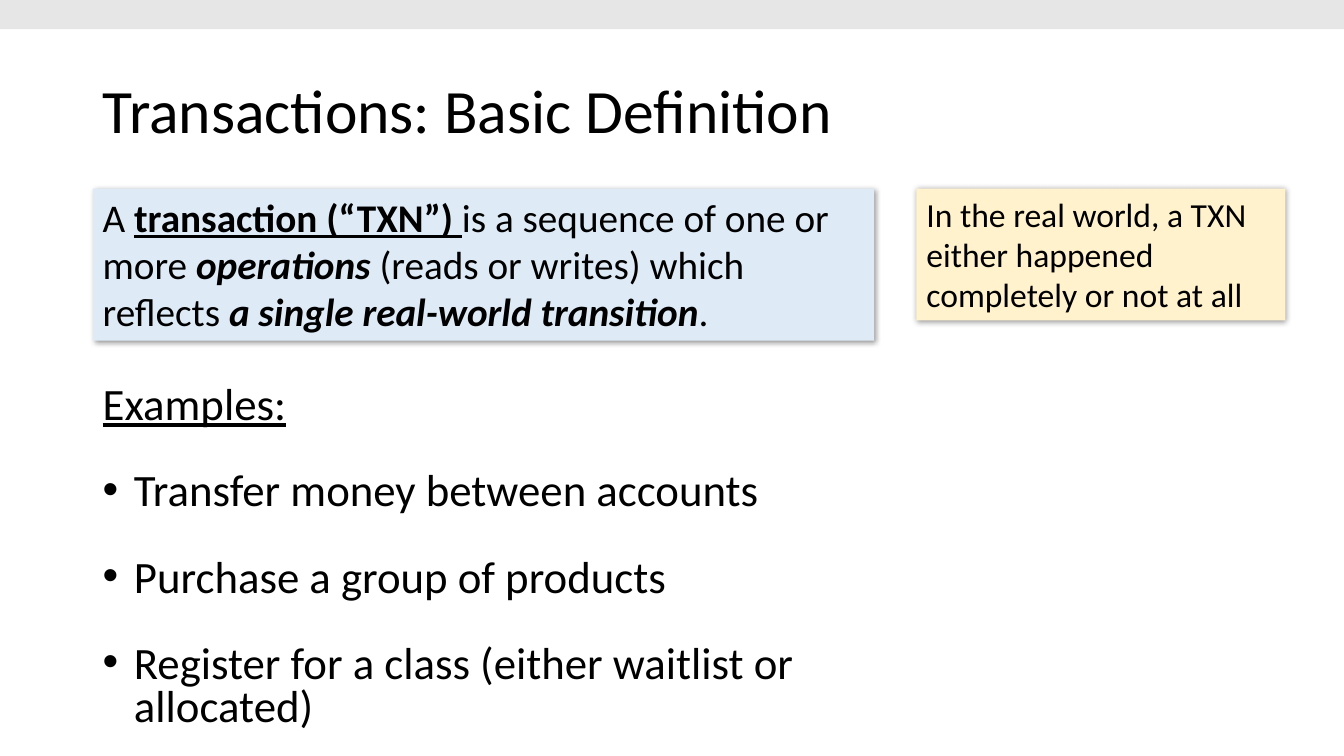
from dataclasses import dataclass

from lxml.etree import SubElement
from pptx import Presentation
from pptx.dml.color import RGBColor
from pptx.enum.shapes import MSO_SHAPE
from pptx.enum.text import MSO_ANCHOR, MSO_AUTO_SIZE, PP_ALIGN
from pptx.oxml.ns import qn
from pptx.util import Emu, Pt

PX = 9144  # EMU per px, 100 px to the inch


@dataclass(frozen=True)
class Theme:
    font: str = "Calibri"
    ink: str = "000000"
    band: str = "E7E6E6"
    definition: str = "DEEBF7"
    remark: str = "FFF2CC"
    title_size: int = 44
    body_size: int = 32
    definition_size: int = 28
    remark_size: int = 24


THEME = Theme()
TERM = {"bold": True, "underline": True}
STRESS = {"bold": True, "italic": True}


def px(*values):
    return [Emu(v * PX) for v in values]


def add_run(p, text, size, **formats):
    r = p.add_run()
    r.text = text
    for name, value in {"name": THEME.font, "size": Pt(size), **formats}.items():
        setattr(r.font, name, value)
    r.font.color.rgb = RGBColor.from_string(THEME.ink)


def set_frame(tf, **formats):
    for name, value in {"word_wrap": True, **formats}.items():
        setattr(tf, name, value)


def add_bullet(p, indent):
    pPr = p._p.get_or_add_pPr()
    pPr.set("marL", str(indent * PX))
    pPr.set("indent", str(-indent * PX))
    SubElement(pPr, qn("a:buFont"), typeface="Arial")
    SubElement(pPr, qn("a:buChar"), char="•")


def add_shadow(sp):
    effects = sp._element.spPr.find(qn("a:effectLst"))
    shadow = SubElement(effects, qn("a:outerShdw"), blurRad=str(Pt(4)),
                        dist=str(Pt(1)), dir=str(45 * 60000),
                        algn="tl", rotWithShape="0")
    color = SubElement(shadow, qn("a:srgbClr"), val=THEME.ink)
    SubElement(color, qn("a:alpha"), val="40000")


def add_rect(slide, box, fill):
    sp = slide.shapes.add_shape(MSO_SHAPE.RECTANGLE, *px(*box))
    sp.shadow.inherit = False
    sp.fill.solid()
    sp.fill.fore_color.rgb = RGBColor.from_string(fill)
    sp.line.fill.background()
    return sp


def add_callout(slide, box, fill, size, runs):
    sp = add_rect(slide, box, fill)
    add_shadow(sp)
    tf = sp.text_frame
    set_frame(tf, vertical_anchor=MSO_ANCHOR.TOP,
              auto_size=MSO_AUTO_SIZE.SHAPE_TO_FIT_TEXT)
    p = tf.paragraphs[0]
    p.alignment = PP_ALIGN.LEFT
    for text, formats in runs:
        add_run(p, text, size, **formats)


def set_title(slide, box, text):
    sp = slide.shapes.title
    sp.left, sp.top, sp.width, sp.height = px(*box)
    set_frame(sp.text_frame, vertical_anchor=MSO_ANCHOR.MIDDLE,
              auto_size=MSO_AUTO_SIZE.NONE)
    p = sp.text_frame.paragraphs[0]
    p.alignment = PP_ALIGN.LEFT
    p.line_spacing = 0.9
    add_run(p, text, THEME.title_size)


def add_examples(slide, box, heading, items):
    tf = slide.shapes.add_textbox(*px(*box)).text_frame
    set_frame(tf, auto_size=MSO_AUTO_SIZE.SHAPE_TO_FIT_TEXT)
    p = tf.paragraphs[0]
    p.line_spacing = 0.8
    add_run(p, heading, THEME.body_size, underline=True)
    for item in items:
        p = tf.add_paragraph()
        p.line_spacing = 0.8
        p.space_before = Pt(31)
        add_bullet(p, 31)
        add_run(p, item, THEME.body_size)


def main():
    prs = Presentation()
    prs.slide_width, prs.slide_height = px(1333, 750)
    slide = prs.slides.add_slide(prs.slide_layouts[5])

    # Title and definition
    set_title(slide, (92, 40, 1150, 145), "Transactions: Basic Definition")
    add_callout(slide, (92, 187, 775, 151), THEME.definition, THEME.definition_size, [
        ("A ", {}),
        ("transaction (“TXN”) ", TERM),
        ("is a sequence of one or more ", {}),
        ("operations", STRESS),
        (" (reads or writes) which reflects ", {}),
        ("a single real-world transition", STRESS),
        (".", {}),
    ])

    # Top band
    add_rect(slide, (0, 0, 1333, 29), THEME.band)

    # Side remark
    add_callout(slide, (909, 187, 366, 131), THEME.remark, THEME.remark_size, [
        ("In the real world, a TXN either happened completely or not at all", {}),
    ])

    # Examples
    add_examples(slide, (92, 378, 838, 355), "Examples:", [
        "Transfer money between accounts",
        "Purchase a group of products",
        "Register for a class (either waitlist or allocated)",
    ])

    prs.save("out.pptx")


if __name__ == "__main__":
    main()
